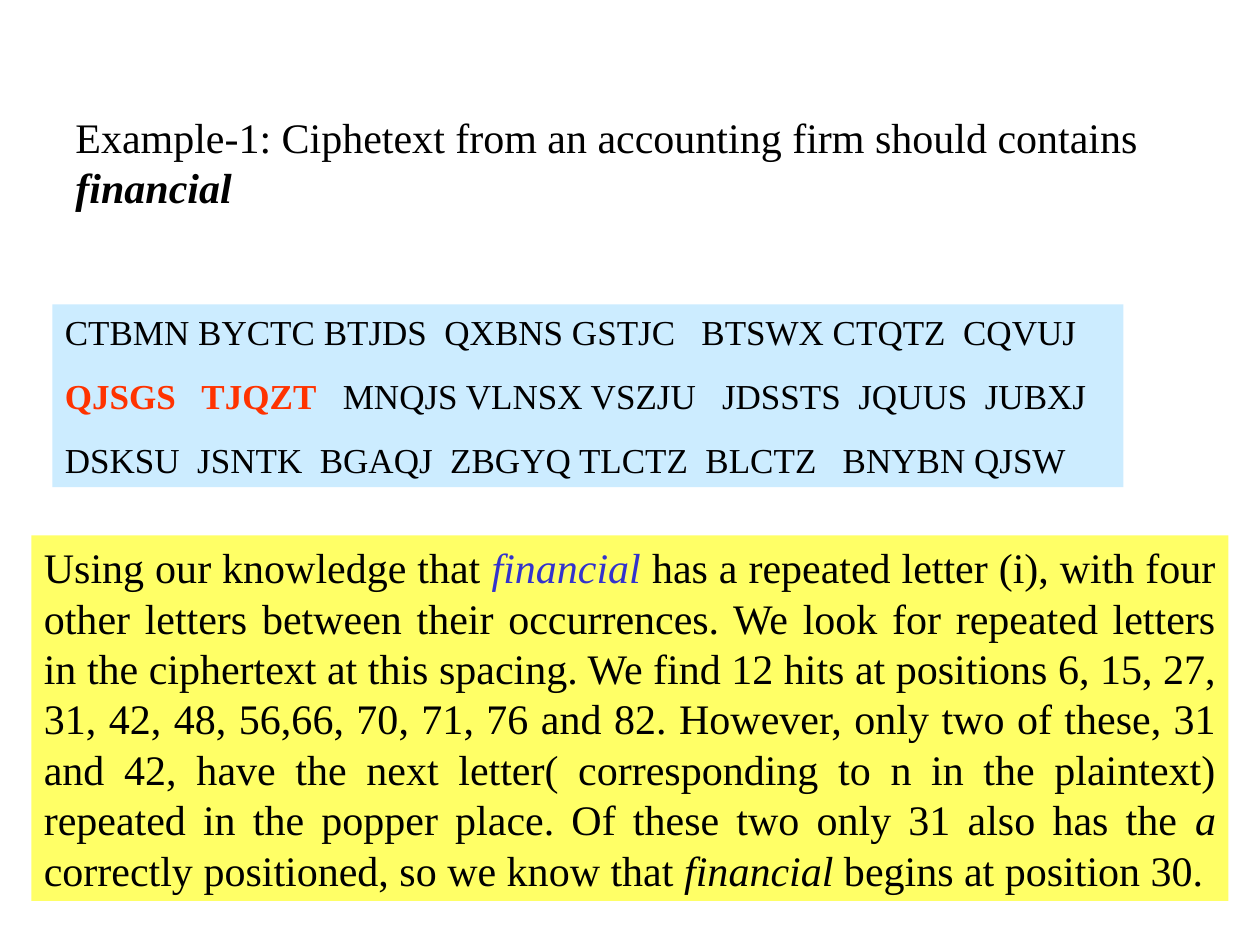
from dataclasses import dataclass
from typing import Optional

from pptx import Presentation
from pptx.dml.color import RGBColor
from pptx.enum.shapes import MSO_SHAPE as Shape
from pptx.enum.text import MSO_ANCHOR as Anchor, PP_ALIGN as Align
from pptx.util import Inches, Pt

BLACK = RGBColor(0x00, 0x00, 0x00)
RED = RGBColor(0xFF, 0x33, 0x00)
INDIGO = RGBColor(0x33, 0x33, 0xCC)
PALE_BLUE = RGBColor(0xCC, 0xEC, 0xFF)
YELLOW = RGBColor(0xFF, 0xFF, 0x66)

FONT = "Times New Roman"
COLUMN = Inches(10) / 120
ROW = Inches(7.5) / 90


@dataclass(frozen=True)
class Span:
    text: str
    color: RGBColor = BLACK
    bold: bool = False
    italic: bool = False


@dataclass(frozen=True)
class Panel:
    column: float
    row: float
    columns: float
    rows: float
    size: int
    paras: list[list[Span]]
    fill: Optional[RGBColor] = None
    align: Align = Align.LEFT
    gap: float = 0


HEADING = Panel(6, 10, 106, 10.8, 24, [[
    Span("Example-1: Ciphetext from an accounting firm should contains "),
    Span("financial", bold=True, italic=True),
]])

CIPHERTEXT = Panel(5, 29, 102, 17.4, 20, [
    [Span("CTBMN BYCTC BTJDS  QXBNS GSTJC   BTSWX CTQTZ  CQVUJ")],
    [Span("QJSGS   TJQZT", RED, bold=True),
     Span("   MNQJS VLNSX VSZJU   JDSSTS  JQUUS  JUBXJ")],
    [Span("DSKSU  JSNTK  BGAQJ  ZBGYQ TLCTZ  BLCTZ   BNYBN QJSW")],
], fill=PALE_BLUE, gap=12.5)

EXPLANATION = Panel(3, 51, 114, 34.8, 24, [[
    Span("Using our knowledge that "),
    Span("financial ", INDIGO, italic=True),
    Span("has a repeated letter (i), with four other letters between their "
         "occurrences. We look for repeated letters in the ciphertext at this "
         "spacing. We find 12 hits at positions 6, 15, 27, 31, 42, 48, 56,66, "
         "70, 71, 76 and 82. However, only two of these, 31 and 42, have the "
         "next letter( corresponding to n in the plaintext) repeated in the "
         "popper place. Of these two only 31 also has the "),
    Span("a ", italic=True),
    Span("correctly positioned, so we know that "),
    Span("financial", italic=True),
    Span(" begins at position 30. "),
]], fill=YELLOW, align=Align.JUSTIFY)


def add_panel(page, panel: Panel) -> None:
    area = (round(panel.column * COLUMN), round(panel.row * ROW),
            round(panel.columns * COLUMN), round(panel.rows * ROW))
    if panel.fill is None:
        box = page.shapes.add_textbox(*area)
    else:
        box = page.shapes.add_shape(Shape.RECTANGLE, *area)
        box.shadow.inherit = False
        box.fill.solid()
        box.fill.fore_color.rgb = panel.fill
        box.line.fill.background()
    frame = box.text_frame
    frame.word_wrap = True
    frame.vertical_anchor = Anchor.TOP
    for index, spans in enumerate(panel.paras):
        para = frame.add_paragraph() if index else frame.paragraphs[0]
        para.alignment = panel.align
        if index:
            para.space_before = Pt(panel.gap)
        for span in spans:
            run = para.add_run()
            run.text = span.text
            run.font.name = FONT
            run.font.size = Pt(panel.size)
            run.font.bold = span.bold
            run.font.italic = span.italic
            run.font.color.rgb = span.color


def main() -> None:
    deck = Presentation()
    deck.slide_width, deck.slide_height = Inches(10), Inches(7.5)
    page = deck.slides.add_slide(deck.slide_layouts[6])
    for panel in (CIPHERTEXT, HEADING, EXPLANATION):
        add_panel(page, panel)
    deck.save("out.pptx")


if __name__ == "__main__":
    main()
